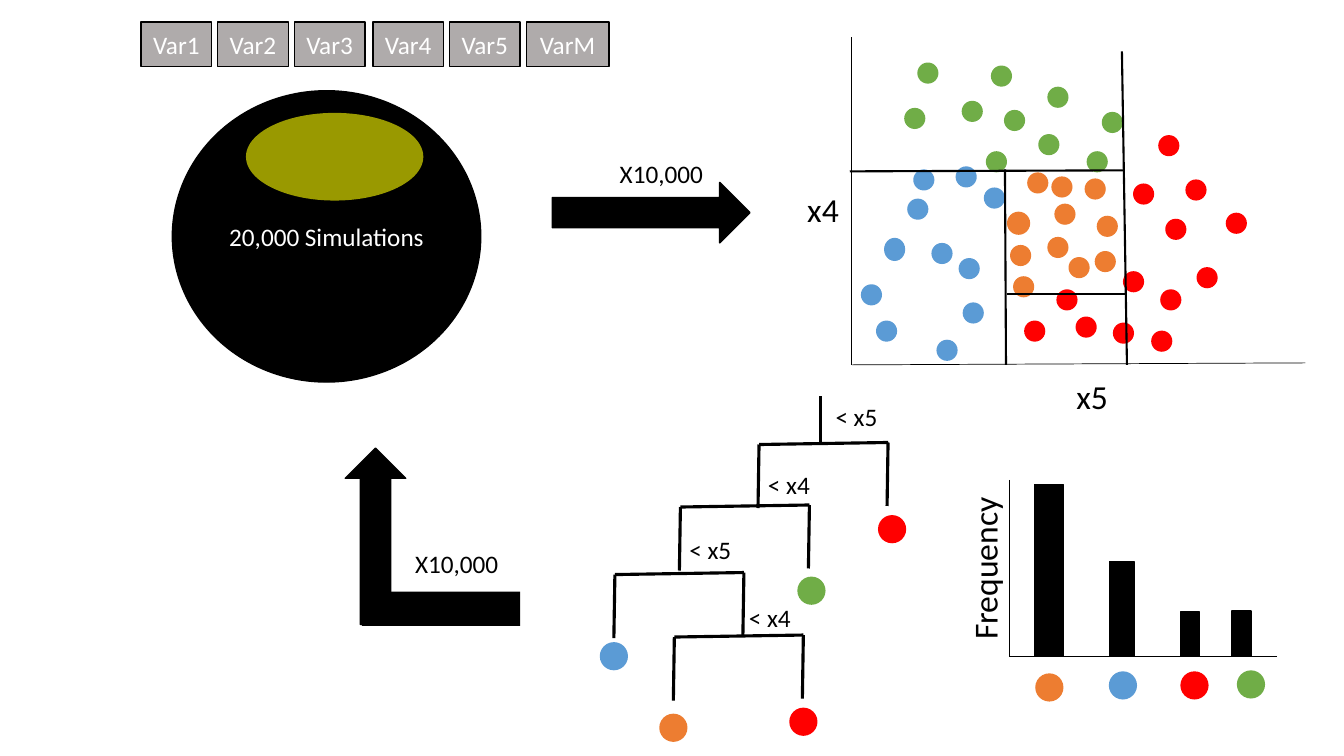
from dataclasses import dataclass
from typing import NamedTuple

from lxml.etree import SubElement
from pptx import Presentation
from pptx.dml.color import RGBColor
from pptx.enum.shapes import MSO_CONNECTOR, MSO_SHAPE
from pptx.enum.text import MSO_ANCHOR, MSO_AUTO_SIZE, PP_ALIGN
from pptx.oxml.ns import qn
from pptx.util import Inches, Pt

COLUMNS, ROWS = 133.33, 75
CELL = Inches(0.1)
BLACK, WHITE, GREY, YELLOW = "000000", "FFFFFF", "AFABAB", "FFFF00"
RED, GREEN, BLUE, ORANGE = "FF0000", "70AD47", "5B9BD5", "ED7D31"
FONT = "Calibri"
LEAF = 2.8
BASELINE = 65.1


class Area(NamedTuple):
    """A frame in grid columns and rows."""

    left: float
    top: float
    width: float
    height: float


class Stroke(NamedTuple):
    """A straight line between two grid points."""

    x1: float
    y1: float
    x2: float
    y2: float


class Label(NamedTuple):
    """A free-standing caption."""

    words: str
    area: Area
    size: float = 18
    rotation: float = 0


class Dot(NamedTuple):
    """A coloured leaf or legend marker."""

    color: str
    left: float
    top: float


class Bar(NamedTuple):
    """A frequency bar standing on the baseline."""

    left: float
    width: float
    height: float


@dataclass
class Cluster:
    """Scatter points that share a colour and size."""

    color: str
    spots: list[tuple[float, float]]
    width: float = 2.1
    height: float = 2.1


CLUSTERS = [
    Cluster(ORANGE, [(104.3, 17.5), (100.5, 27.4), (107.6, 17.7), (103.9, 23.5), (100.2, 24.3),
                     (108.8, 21.4), (104.6, 20.2), (108.6, 24.9), (101.9, 17.1), (106, 25.5)]),
    Cluster(ORANGE, [(99.9, 21)], 2.3, 2.3),
    Cluster(BLUE, [(95.5, 30), (92.4, 24.1), (90.6, 16.8), (90, 19.7), (94.8, 16.5),
                   (97.6, 18.6), (95.1, 25.6), (92.9, 33.7), (86.9, 31.8), (85.4, 28.2)]),
    Cluster(BLUE, [(87.7, 23.6)], 2.1, 2.3),
    Cluster(GREEN, [(97.8, 15), (107.8, 15), (103.9, 8.6), (91, 6.2), (95.4, 10), (103, 13.3),
                    (109.3, 11.1), (98.3, 6.5), (89.7, 10.7), (99.6, 10.9)]),
    Cluster(RED, [(106.7, 31.4), (111.4, 26.9), (112.4, 18.2), (114.2, 32.8), (114.9, 13.4),
                  (118.7, 26.5), (121.6, 21.1), (115.6, 21.7), (117.6, 17.8), (104.8, 28.7),
                  (110.4, 32), (115.1, 28.7), (101.6, 31.8)]),
]
AXES = [Stroke(84.5, 3.7, 84.5, 36.2), Stroke(129.5, 36, 84.5, 36.2),
        Stroke(100.1, 47.6, 100.1, BASELINE), Stroke(126.7, BASELINE, 100.1, BASELINE)]
SPLITS = [Stroke(111.3, 5.1, 111.8, 36.2), Stroke(84.3, 17, 111.6, 16.9),
          Stroke(99.8, 36.2, 99.7, 16.8), Stroke(99.9, 29.2, 111.8, 29.2)]
TREE_ROOT = Stroke(81.4, 39.3, 81.4, 44.1)
FORKS = [(75.3, 43.9), (67.5, 50.1), (61, 56.8), (66.9, 63)]
LEAVES = [Dot(RED, 87.1, 51.1), Dot(GREEN, 79.1, 57.2), Dot(BLUE, 59.5, 63.7),
          Dot(ORANGE, 65.4, 70.8), Dot(RED, 78.3, 70.2)]
BARS = [Bar(102.6, 2.9, 17), Bar(110.1, 2.4, 9.4), Bar(117.1, 1.9, 4.4), Bar(122.2, 1.9, 4.5)]
LEGEND = [Dot(ORANGE, 102.7, 66.8), Dot(BLUE, 110, 66.6),
          Dot(RED, 117.1, 66.6), Dot(GREEN, 122.7, 66.5)]
LABELS = [
    Label("x5", Area(105.8, 36.8, 5.2, 5), 24),
    Label("x4", Area(79.1, 18.3, 5.2, 5), 24),
    Label("< x5", Area(81.9, 39.3, 6.2, 4)),
    Label("< x4", Area(75.2, 46.1, 6.2, 4)),
    Label("< x5", Area(67.4, 52.5, 6.2, 4)),
    Label("< x4", Area(73.3, 59.3, 6.2, 4)),
    Label("X10,000", Area(60.5, 15.2, 10.4, 4)),
    Label("X10,000", Area(40.2, 53.9, 10.4, 4)),
    Label("Frequency", Area(89.5, 53.8, 16.3, 5), 24, 270),
]


def cells(count: float) -> int:
    """Convert grid cells to slide units."""
    return round(count * CELL)


def rgb(color: str) -> RGBColor:
    """Turn a hex string into a colour."""
    return RGBColor.from_string(color)


def write(frame, words: str, size: float, color: str) -> None:
    """Add one run to the first paragraph of a text frame."""
    run = frame.paragraphs[0].add_run()
    run.text = words
    run.font.name = FONT
    run.font.size = Pt(size)
    run.font.color.rgb = rgb(color)


def draw_shape(shapes, kind: MSO_SHAPE, area: Area, fill: str,
               outlined: bool = False, words: str = ""):
    """Draw a filled preset shape, with an optional outline and words."""
    shape = shapes.add_shape(kind, *map(cells, area))
    shape.shadow.inherit = False
    shape.fill.solid()
    shape.fill.fore_color.rgb = rgb(fill)
    if outlined:
        shape.line.color.rgb = rgb(BLACK)
        shape.line.width = Pt(1)
    else:
        shape.line.fill.background()
    if words:
        shape.text_frame.vertical_anchor = MSO_ANCHOR.MIDDLE
        shape.text_frame.paragraphs[0].alignment = PP_ALIGN.CENTER
        write(shape.text_frame, words, 18, WHITE)
    return shape


def draw_stroke(shapes, stroke: Stroke, weight: float) -> None:
    """Draw a black straight line."""
    line = shapes.add_connector(MSO_CONNECTOR.STRAIGHT, *map(cells, stroke))
    line.line.color.rgb = rgb(BLACK)
    line.line.width = Pt(weight)
    SubElement(line._element.spPr, qn("a:effectLst"))


def draw_fork(shapes, left: float, top: float) -> None:
    """Draw one decision split: a slanted bar and its two legs."""
    right, low, leg = left + 12.8, top + 0.2, 6.3
    for stroke in (Stroke(right, top, left, low),
                   Stroke(left - 0.1, low + leg, left, low),
                   Stroke(right - 0.1, top + leg, right, top)):
        draw_stroke(shapes, stroke, 2.25)


def draw_label(shapes, label: Label) -> None:
    """Draw an unwrapped caption."""
    box = shapes.add_textbox(*map(cells, label.area))
    box.rotation = label.rotation
    box.text_frame.word_wrap = False
    box.text_frame.auto_size = MSO_AUTO_SIZE.SHAPE_TO_FIT_TEXT
    write(box.text_frame, label.words, label.size, BLACK)


def main() -> None:
    """Build the random forest simulation slide."""
    deck = Presentation()
    deck.slide_width, deck.slide_height = cells(COLUMNS), cells(ROWS)
    shapes = deck.slides.add_slide(deck.slide_layouts[6]).shapes

    for axis in AXES:
        draw_stroke(shapes, axis, 0.5)
    for cluster in CLUSTERS:
        for spot in cluster.spots:
            area = Area(*spot, cluster.width, cluster.height)
            draw_shape(shapes, MSO_SHAPE.OVAL, area, cluster.color)
    for split in SPLITS:
        draw_stroke(shapes, split, 1.5)

    draw_shape(shapes, MSO_SHAPE.OVAL, Area(17.1, 9, 30.6, 28.9), BLACK, True,
               "20,000 Simulations")
    sample = draw_shape(shapes, MSO_SHAPE.OVAL, Area(24.4, 11.2, 17.6, 8.7), YELLOW)
    tint = sample._element.spPr.find(qn("a:solidFill"))[0]
    SubElement(tint, qn("a:alpha"), val="60000")
    for index, suffix in enumerate("12345M"):
        left = 14 + 7.6 * index + 0.2 * (index // 3)
        area = Area(left, 2.2, 8.2 if suffix == "M" else 7, 4.4)
        draw_shape(shapes, MSO_SHAPE.RECTANGLE, area, GREY, True, f"Var{suffix}")

    draw_stroke(shapes, TREE_ROOT, 2.25)
    for fork in FORKS:
        draw_fork(shapes, *fork)

    draw_shape(shapes, MSO_SHAPE.RIGHT_ARROW, Area(54.8, 18.1, 19.6, 6), BLACK, True)
    feedback = shapes.add_group_shape().shapes
    upward = draw_shape(feedback, MSO_SHAPE.RIGHT_ARROW, Area(28.5, 50.2, 17.5, 6), BLACK, True)
    upward.rotation = 270
    draw_shape(feedback, MSO_SHAPE.RECTANGLE, Area(35.9, 58.7, 15.7, 3.4), BLACK)

    for bar in BARS:
        area = Area(bar.left, BASELINE - bar.height, bar.width, bar.height)
        draw_shape(shapes, MSO_SHAPE.RECTANGLE, area, BLACK, True)
    for dot in LEAVES + LEGEND:
        draw_shape(shapes, MSO_SHAPE.OVAL, Area(dot.left, dot.top, LEAF, LEAF), dot.color)
    for label in LABELS:
        draw_label(shapes, label)
    deck.save("out.pptx")


if __name__ == "__main__":
    main()
